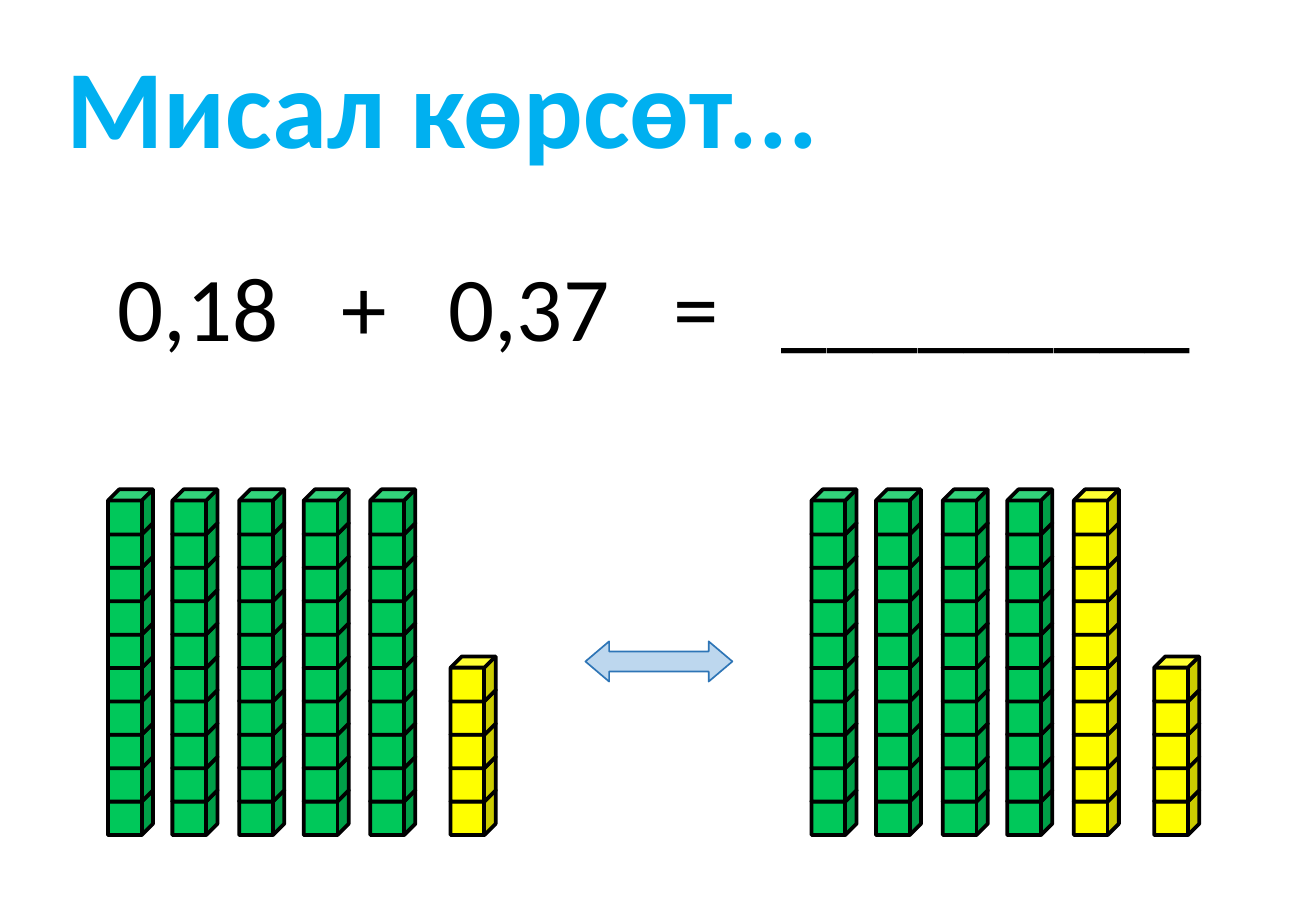
from dataclasses import dataclass

from pptx import Presentation
from pptx import util as u
from pptx.dml.color import RGBColor
from pptx.enum import shapes, text


@dataclass(frozen=True)
class Theme:
    font: str = "Calibri"
    title_size: float = 66
    sum_size: float = 54
    title: str = "00B0F0"
    ink: str = "000000"
    green: str = "00C85A"
    yellow: str = "FFFF00"
    arrow_fill: str = "BDD7EE"
    arrow_line: str = "2E75B6"


class BlockSlide:
    """Draws the sum and its base-ten blocks on one slide."""

    CUBE = 26.7
    CUBE_STEP = 19.8
    LOWEST_TOP = 468.3

    def __init__(self, deck, theme):
        self.theme = theme
        self.slide = deck.slides.add_slide(deck.slide_layouts[5])

    def add_words(self, paragraph, words, size, colour, bold=False):
        run = paragraph.add_run()
        run.text = words
        run.font.name = self.theme.font
        run.font.size = u.Pt(size)
        run.font.bold = bold
        run.font.color.rgb = RGBColor.from_string(colour)

    def title(self, words, left, top, width, height, indent):
        heading = self.slide.shapes.title
        heading.left, heading.top = u.Pt(left), u.Pt(top)
        heading.width, heading.height = u.Pt(width), u.Pt(height)
        frame = heading.text_frame
        frame.auto_size = text.MSO_AUTO_SIZE.NONE
        frame.vertical_anchor = text.MSO_ANCHOR.TOP
        frame.margin_left = u.Pt(indent)
        paragraph = frame.paragraphs[0]
        paragraph.alignment = text.PP_ALIGN.LEFT
        self.add_words(paragraph, words, self.theme.title_size, self.theme.title, True)

    def equation(self, terms, stops, left, top, width, height):
        box = self.slide.shapes.add_textbox(u.Pt(left), u.Pt(top), u.Pt(width), u.Pt(height))
        frame = box.text_frame
        frame.word_wrap = True
        frame.margin_right = 0
        paragraph = frame.paragraphs[0]
        properties = paragraph._p.get_or_add_pPr()
        tabs = properties.makeelement(TAB_LIST, {})
        properties.append(tabs)
        for stop in stops:
            tabs.append(tabs.makeelement(TAB, {"pos": str(u.Pt(stop)), "algn": "l"}))
        self.add_words(paragraph, "\t".join(terms), self.theme.sum_size, self.theme.ink)

    def shape(self, home, kind, left, top, width, height, fill, line, weight):
        form = home.add_shape(kind, u.Pt(left), u.Pt(top), u.Pt(width), u.Pt(height))
        form.shadow.inherit = False
        form.fill.solid()
        form.fill.fore_color.rgb = RGBColor.from_string(fill)
        form.line.color.rgb = RGBColor.from_string(line)
        form.line.width = u.Pt(weight)
        return form

    def tower(self, left, cubes, colour):
        home = self.slide.shapes
        if cubes == 10:
            home = home.add_group_shape().shapes
        for level in range(cubes):
            self.shape(home, shapes.MSO_SHAPE.CUBE, left,
                       self.LOWEST_TOP - level * self.CUBE_STEP,
                       self.CUBE, self.CUBE, colour, self.theme.ink, 2.25)

    def double_arrow(self, left, top, width, height):
        arrow = self.shape(self.slide.shapes, shapes.MSO_SHAPE.LEFT_RIGHT_ARROW,
                           left, top, width, height,
                           self.theme.arrow_fill, self.theme.arrow_line, 1)
        arrow.adjustments[0] = 0.5
        arrow.adjustments[1] = 0.59


DRAWING = "{http://schemas.openxmlformats.org/drawingml/2006/main}"
TAB_LIST = DRAWING + "tabLst"
TAB = DRAWING + "tab"

TOWER_OFFSETS = (0, 38.2, 77.8, 116, 155.5, 203.1)
TOWER_HEIGHTS = (10, 10, 10, 10, 10, 5)


def main():
    deck = Presentation()
    deck.slide_width, deck.slide_height = u.Pt(780), u.Pt(540)
    theme = Theme()
    page = BlockSlide(deck, theme)

    page.title("Мисал көрсөт...", 17.3, 18.7, 542.9, 87.1, 22.1)
    page.equation(("0,18", "+", "0,37", "=", "_________"),
                  (132.5, 196, 329.5, 393.8), 62.6, 144.7, 655.2, 72.7)

    tens_and_units = (
        (64, [theme.green] * 5 + [theme.yellow]),
        (481, [theme.green] * 4 + [theme.yellow] * 2),
    )
    for start, colours in tens_and_units:
        for offset, cubes, colour in zip(TOWER_OFFSETS, TOWER_HEIGHTS, colours):
            page.tower(start + offset, cubes, colour)
    page.double_arrow(347, 380.2, 87.1, 23.8)

    deck.save("out.pptx")


if __name__ == "__main__":
    main()
